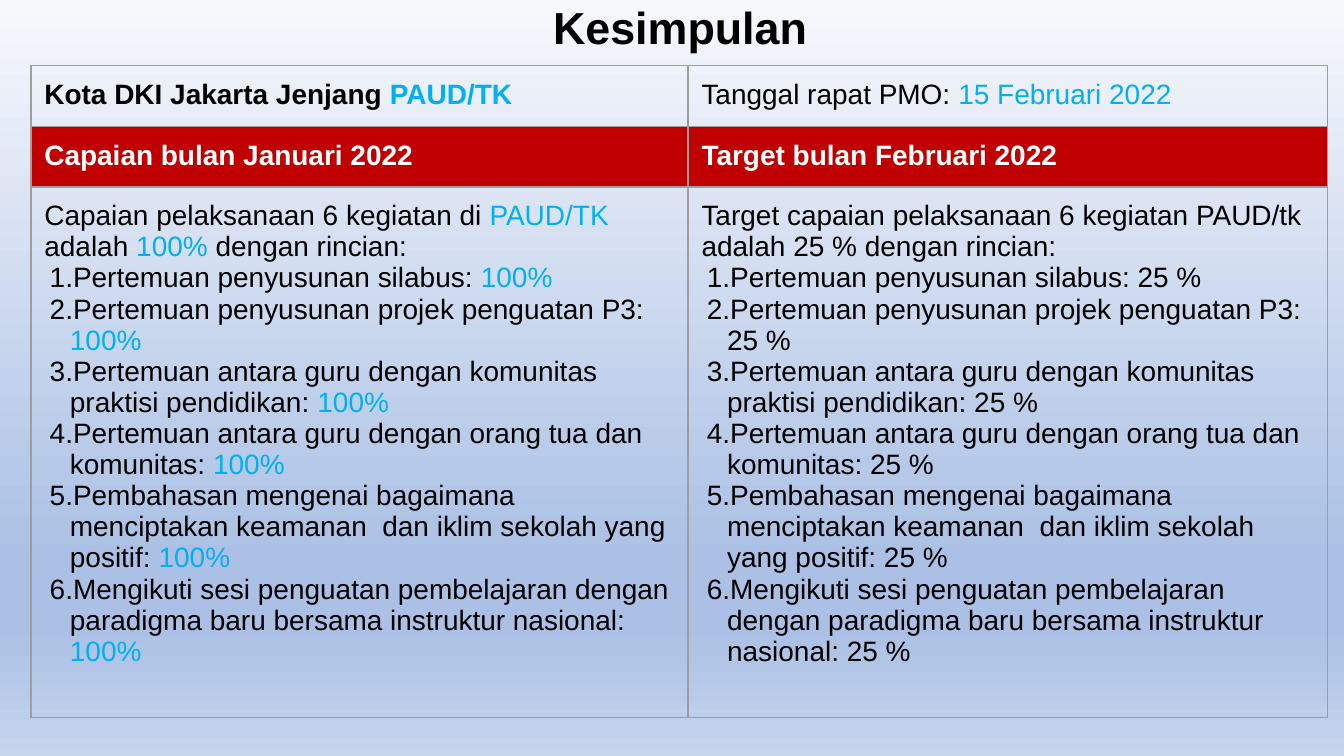
"""Build the meeting conclusion slide with its table of results and targets."""
from pptx import Presentation
from pptx.dml.color import RGBColor
from pptx.enum.text import PP_ALIGN as Align
from pptx.oxml import parse_xml
from pptx.oxml.ns import nsdecls, qn
from pptx.util import Inches, Pt

BLACK, WHITE, RED, CYAN, GREY = "000000", "FFFFFF", "C00000", "00B0F0", "9E9E9E"
ACTIVITIES = [
    "Pertemuan penyusunan silabus: ",
    "Pertemuan penyusunan projek penguatan P3: ",
    "Pertemuan antara guru dengan komunitas praktisi pendidikan: ",
    "Pertemuan antara guru dengan orang tua dan komunitas: ",
    "Pembahasan mengenai bagaimana menciptakan keamanan  dan iklim sekolah yang positif: ",
    "Mengikuti sesi penguatan pembelajaran dengan paradigma baru bersama instruktur nasional: ",
]


def rgb(value):
    return RGBColor.from_string(value)


def solid(value):
    return f'<a:solidFill><a:srgbClr val="{value}"/></a:solidFill>'


class SlideBuilder:
    font_name = "Arial"
    body_size = 15
    title_size = 24
    cell_margin = 0.1

    def __init__(self, slide):
        self.slide = slide

    def background(self, stops):
        stop_xml = "".join(
            f'<a:gs pos="{position * 1000}"><a:srgbClr val="{color}"/></a:gs>'
            for position, color in stops
        )
        background = parse_xml(
            f'<p:bg {nsdecls("p", "a")}><p:bgPr><a:gradFill rotWithShape="1">'
            f'<a:gsLst>{stop_xml}</a:gsLst><a:lin ang="5400000" scaled="0"/>'
            "</a:gradFill><a:effectLst/></p:bgPr></p:bg>"
        )
        self.slide.element.find(qn("p:cSld")).insert(0, background)

    def runs(self, paragraph, parts, size, bold=False):
        for text, color in parts:
            run = paragraph.add_run()
            run.text = text
            values = {"name": self.font_name, "size": Pt(size), "bold": bold}
            for name, value in values.items():
                setattr(run.font, name, value)
            run.font.color.rgb = rgb(color)

    def title(self, text, left, top, width, height):
        box = self.slide.shapes.add_textbox(*map(Inches, (left, top, width, height)))
        frame = box.text_frame
        values = {
            "word_wrap": True,
            "margin_left": Inches(0.07),
            "margin_right": Inches(0.07),
            "margin_top": Inches(0.04),
            "margin_bottom": Inches(0.04),
        }
        for name, value in values.items():
            setattr(frame, name, value)
        paragraph = frame.paragraphs[0]
        paragraph.alignment = Align.CENTER
        paragraph.line_spacing = 0.9
        self.runs(paragraph, [(text, BLACK)], self.title_size, True)

    def table(self, left, top, width, height, column_widths, row_heights):
        lengths = map(Inches, (left, top, width, height))
        holder = self.slide.shapes.add_table(
            len(row_heights), len(column_widths), *lengths
        )
        table = holder.table
        table.first_row = table.horz_banding = False
        for column, column_width in zip(table.columns, column_widths):
            column.width = Inches(column_width)
        for row, row_height in zip(table.rows, row_heights):
            row.height = Inches(row_height)
        holder.width, holder.height = Inches(width), Inches(height)
        return table

    def cell(self, cell, paragraphs, bold=False, fill=None):
        for side in ("left", "right", "top", "bottom"):
            setattr(cell, f"margin_{side}", Inches(self.cell_margin))
        properties = cell._tc.get_or_add_tcPr()
        for side in "LRTB":
            properties.append(parse_xml(
                f'<a:ln{side} {nsdecls("a")} w="{Pt(0.75)}">{solid(GREY)}</a:ln{side}>'
            ))
        if fill:
            cell.fill.solid()
            cell.fill.fore_color.rgb = rgb(fill)
        else:
            cell.fill.background()
        frame = cell.text_frame
        for index, parts in enumerate(paragraphs):
            paragraph = frame.add_paragraph() if index else frame.paragraphs[0]
            if index:
                self.number(paragraph)
            self.runs(paragraph, parts, self.body_size, bold)

    def number(self, paragraph):
        properties = paragraph._p.get_or_add_pPr()
        for name, value in {"marL": Inches(0.19), "indent": Inches(-0.15)}.items():
            properties.set(name, str(value))
        for element in (
            f'<a:buClr {nsdecls("a")}><a:srgbClr val="{BLACK}"/></a:buClr>',
            f'<a:buFont {nsdecls("a")} typeface="{self.font_name}"/>',
            f'<a:buAutoNum {nsdecls("a")} type="arabicPeriod"/>',
        ):
            properties.append(parse_xml(element))


def main():
    presentation = Presentation()
    presentation.slide_width = Inches(10)
    presentation.slide_height = presentation.slide_width * 9 // 16
    builder = SlideBuilder(presentation.slides.add_slide(presentation.slide_layouts[6]))

    builder.background([(0, "F6F8FC"), (74, "ABC0E4"), (83, "ABC0E4"), (100, "C7D5ED")])
    builder.title("Kesimpulan", 0.23, 0, 9.66, 0.46)

    results = [[
        ("Capaian pelaksanaan 6 kegiatan di ", BLACK),
        ("PAUD/TK ", CYAN),
        ("adalah ", BLACK),
        ("100% ", CYAN),
        ("dengan rincian:", BLACK),
    ]]
    results += [[(activity, BLACK), ("100%", CYAN)] for activity in ACTIVITIES]
    targets = [[
        ("Target capaian pelaksanaan 6 kegiatan PAUD/tk adalah 25 % dengan rincian:", BLACK)
    ]]
    targets += [[(activity + "25 %", BLACK)] for activity in ACTIVITIES]

    table = builder.table(0.23, 0.49, 9.66, 4.85, [4.89, 4.76], [0.25, 0, 1.37])
    region = [("Kota DKI Jakarta Jenjang ", BLACK), ("PAUD/TK", CYAN)]
    meeting = [("Tanggal rapat PMO: ", BLACK), ("15 Februari 2022", CYAN)]
    builder.cell(table.cell(0, 0), [region], bold=True)
    builder.cell(table.cell(0, 1), [meeting])
    for column, heading in enumerate(("Capaian bulan Januari 2022", "Target bulan Februari 2022")):
        builder.cell(table.cell(1, column), [[(heading, WHITE)]], bold=True, fill=RED)
    for column, paragraphs in enumerate((results, targets)):
        builder.cell(table.cell(2, column), paragraphs)

    presentation.save("out.pptx")


if __name__ == "__main__":
    main()
